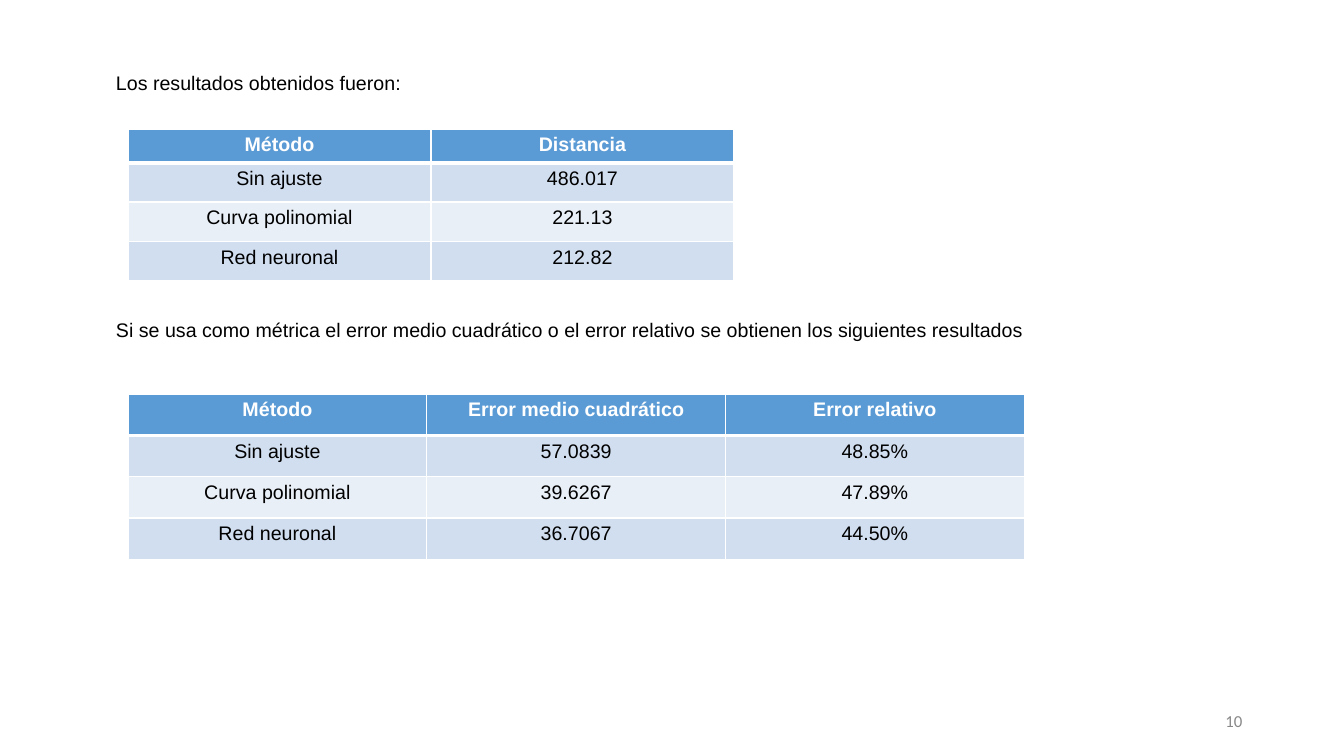
from lxml import etree
from pptx import Presentation
from pptx.dml.color import RGBColor
from pptx.enum.text import MSO_ANCHOR, MSO_AUTO_SIZE, PP_ALIGN
from pptx.oxml.ns import qn
from pptx.util import Inches, Pt

CENTER, RIGHT, LEFT = PP_ALIGN.CENTER, PP_ALIGN.RIGHT, PP_ALIGN.LEFT
TOP, MIDDLE = MSO_ANCHOR.TOP, MSO_ANCHOR.MIDDLE
NO_AUTOFIT = MSO_AUTO_SIZE.NONE

COLORS = {
    "text": "000000",
    "white": "FFFFFF",
    "number": "888888",
    "header": "5B9BD5",
    "band_dark": "D1DEEF",
    "band_light": "E9EFF7",
}


class ResultsSlide:
    thin, thick = 0.96, 3

    def __init__(self, presentation):
        self.slide = presentation.slides.add_slide(presentation.slide_layouts[1])
        title = self.slide.shapes.title
        title.element.getparent().remove(title.element)

    def add_text(self, paragraph, text, align, color="text", **font_format):
        paragraph.alignment = align
        run = paragraph.add_run()
        run.text = text
        font_values = {"name": "Arial", "size": Pt(14), "bold": False, **font_format}
        for attribute, value in font_values.items():
            setattr(run.font, attribute, value)
        run.font.color.rgb = RGBColor.from_string(COLORS[color])

    def body(self, left, top, width, height, sentences):
        """Fill the body with (text, points of space before) pairs."""
        body = self.slide.placeholders[1]
        box = {"left": left, "top": top, "width": width, "height": height}
        for attribute, value in box.items():
            setattr(body, attribute, Inches(value))
        frame = body.text_frame
        frame.auto_size = NO_AUTOFIT
        frame.vertical_anchor = TOP
        for index, (text, space) in enumerate(sentences):
            paragraph = frame.add_paragraph() if index else frame.paragraphs[0]
            self.add_text(paragraph, text, LEFT)
            paragraph.line_spacing = 0.9
            paragraph.space_before = Pt(space)
            properties = paragraph._p.get_or_add_pPr()
            properties.set("marL", str(Inches(0.13)))
            properties.set("indent", "0")
            etree.SubElement(properties, qn("a:buNone"))

    def page_number(self, left, top, width, height, number):
        box = self.slide.shapes.add_textbox(*map(Inches, (left, top, width, height)))
        box.text_frame.word_wrap = True
        box.text_frame.vertical_anchor = MIDDLE
        self.add_text(box.text_frame.paragraphs[0], number, RIGHT, "number",
                      name="Calibri", size=Pt(12))

    def borders(self, cell, **widths):
        properties = cell._tc.get_or_add_tcPr()
        for side in "LRTB":
            width = Pt(widths.get(side, self.thin))
            line = etree.SubElement(properties, qn(f"a:ln{side}"), w=str(width))
            fill = etree.SubElement(line, qn("a:solidFill"))
            etree.SubElement(fill, qn("a:srgbClr"), val=COLORS["white"])

    def table(self, left, top, width, header_height, row_height, rows):
        height = header_height + row_height * (len(rows) - 1)
        table = self.slide.shapes.add_table(
            len(rows), len(rows[0]), *map(Inches, (left, top, width, height))).table
        for row_index, values in enumerate(rows):
            header = row_index == 0
            table.rows[row_index].height = Inches(header_height if header else row_height)
            if header:
                fill, color, edges = "header", "white", {"B": self.thick}
            else:
                fill = "band_dark" if row_index % 2 else "band_light"
                color = "text"
                edges = {"T": self.thick} if row_index == 1 else {}
            for column_index, value in enumerate(values):
                cell = table.cell(row_index, column_index)
                self.borders(cell, **edges)
                cell.fill.solid()
                cell.fill.fore_color.rgb = RGBColor.from_string(COLORS[fill])
                self.add_text(cell.text_frame.paragraphs[0], value, CENTER, color, bold=header)


def main():
    presentation = Presentation()
    presentation.slide_width = Inches(13.33)
    presentation.slide_height = Inches(7.5)
    results = ResultsSlide(presentation)

    # Sentences; the second one starts below the first table
    results.body(0.92, 0.68, 11.5, 4.76, [
        ("Los resultados obtenidos fueron:", 10),
        ("Si se usa como métrica el error medio cuadrático o el error relativo "
         "se obtienen los siguientes resultados", 161),
    ])
    results.page_number(9.42, 6.95, 3, 0.4, "10")

    # Distance of each method
    results.table(1.27, 1.28, 6.01, 0.32, 0.39, [
        ("Método", "Distancia"),
        ("Sin ajuste", "486.017"),
        ("Curva polinomial", "221.13"),
        ("Red neuronal", "212.82"),
    ])

    # Errors of each method
    results.table(1.27, 3.91, 8.89, 0.41, 0.41, [
        ("Método", "Error medio cuadrático", "Error relativo"),
        ("Sin ajuste", "57.0839", "48.85%"),
        ("Curva polinomial", "39.6267", "47.89%"),
        ("Red neuronal", "36.7067", "44.50%"),
    ])

    presentation.save("out.pptx")


if __name__ == "__main__":
    main()
